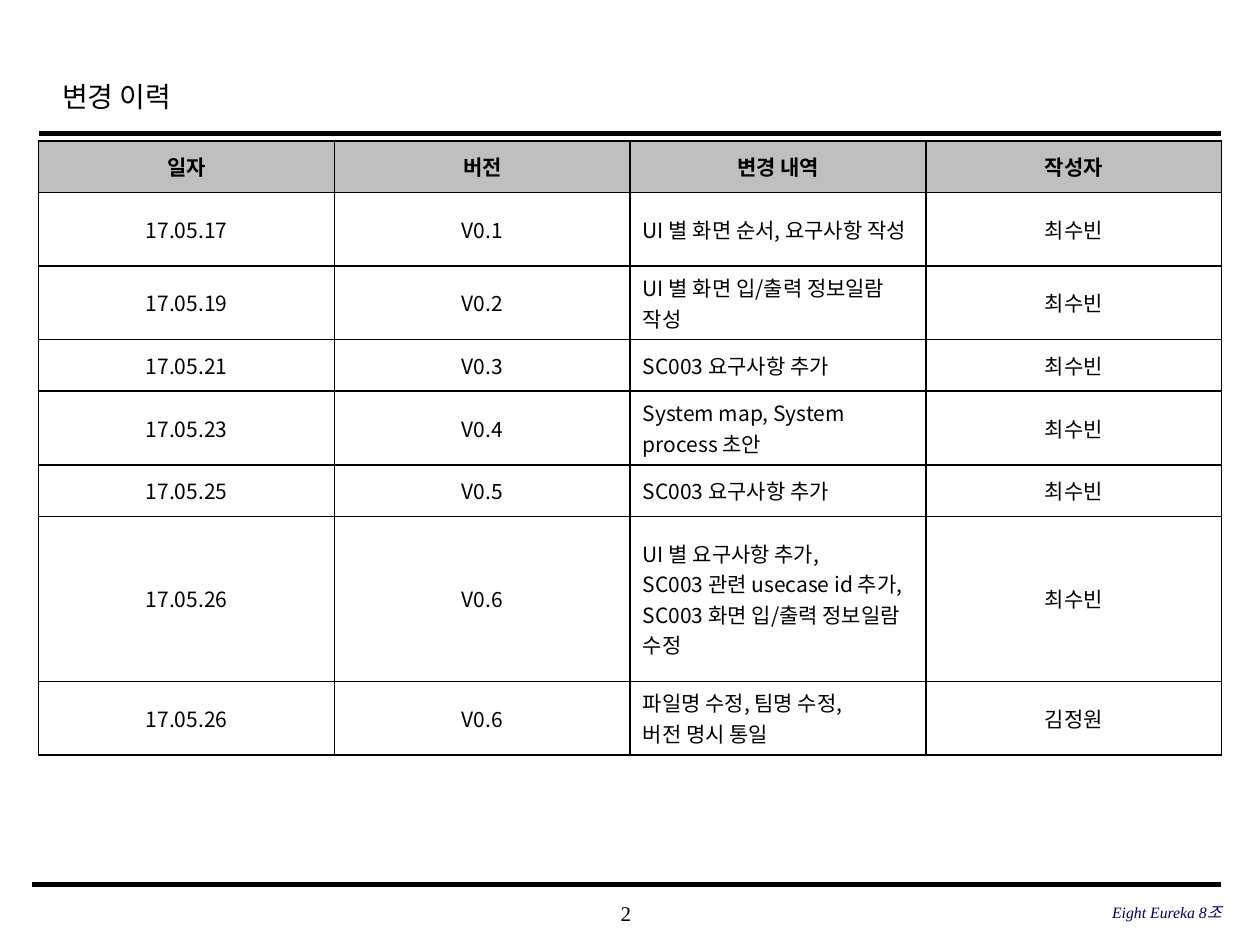
from dataclasses import dataclass

from lxml.etree import SubElement
from pptx import Presentation
from pptx.dml.color import RGBColor
from pptx.enum.shapes import MSO_CONNECTOR
from pptx.enum.text import MSO_ANCHOR, PP_ALIGN
from pptx.oxml.ns import qn
from pptx.util import Cm, Pt


@dataclass(frozen=True)
class Theme:
    serif: str = "Times New Roman"
    korean: str = "Noto Sans CJK KR"
    black: str = "000000"
    navy: str = "000066"
    header: str = "BFBFBF"
    white: str = "FFFFFF"
    title_size: int = 16
    body_size: int = 12
    footer_size: int = 9


THEME = Theme()
TITLE = "변경 이력"
PAGE_NUMBER = "2"
TEAM = "Eight Eureka 8조"
HEADERS = ("일자", "버전", "변경 내역", "작성자")
CHANGES = [
    ("17.05.17", "V0.1", "UI 별 화면 순서, 요구사항 작성", "최수빈"),
    ("17.05.19", "V0.2", "UI 별 화면 입/출력 정보일람 작성", "최수빈"),
    ("17.05.21", "V0.3", "SC003 요구사항 추가", "최수빈"),
    ("17.05.23", "V0.4", "System map, System process 초안", "최수빈"),
    ("17.05.25", "V0.5", "SC003 요구사항 추가", "최수빈"),
    ("17.05.26", "V0.6",
     "UI 별 요구사항 추가,\nSC003 관련 usecase id 추가,\nSC003 화면 입/출력 정보일람 수정",
     "최수빈"),
    ("17.05.26", "V0.6", "파일명 수정, 팀명 수정,\n버전 명시 통일", "김정원"),
]
DESCRIPTION_COLUMN = 2
LEFT, RIGHT = 0.78, 24.62
TABLE_TOP, TABLE_WIDTH, ROW_HEIGHT = 2.84, 23.85, 1.04


def write(text_frame, text, *, size, font=THEME.serif, color=THEME.black,
          bold=False, italic=False, align=PP_ALIGN.LEFT, line_spacing=None):
    """Fill a text frame, one paragraph per line of text."""
    text_frame.word_wrap = True
    text_frame.text = text
    for paragraph in text_frame.paragraphs:
        paragraph.alignment = align
        if line_spacing:
            paragraph.line_spacing = line_spacing
        for run in paragraph.runs:
            run.font.size = Pt(size)
            run.font.bold = bold
            run.font.italic = italic
            run.font.color.rgb = RGBColor.from_string(color)
            run.font.name = font
            SubElement(run.font._element, qn("a:ea"), typeface=THEME.korean)


def add_rule(slide, left, top, width):
    line = slide.shapes.add_connector(
        MSO_CONNECTOR.STRAIGHT, Cm(left), Cm(top), Cm(RIGHT), Cm(top))
    line.line.color.rgb = RGBColor.from_string(THEME.black)
    line.line.width = Pt(width)
    SubElement(line._element.spPr, qn("a:effectLst"))


def add_footer(slide, text, left, top, width, **text_format):
    text_frame = slide.shapes.add_textbox(
        Cm(left), Cm(top), Cm(width), Cm(0.84)).text_frame
    text_frame.margin_left = text_frame.margin_right = 0
    text_frame.margin_top = text_frame.margin_bottom = 0
    text_frame.vertical_anchor = MSO_ANCHOR.MIDDLE
    write(text_frame, text, **text_format)


def add_borders(cell):
    properties = cell._tc.get_or_add_tcPr()
    for side in ("lnL", "lnR", "lnT", "lnB"):
        border = SubElement(properties, qn(f"a:{side}"), w=str(Pt(1)))
        fill = SubElement(border, qn("a:solidFill"))
        SubElement(fill, qn("a:srgbClr"), val=THEME.black)


def add_history_table(slide):
    rows = [HEADERS, *CHANGES]
    table = slide.shapes.add_table(
        len(rows), len(HEADERS), Cm(LEFT), Cm(TABLE_TOP),
        Cm(TABLE_WIDTH), Cm(ROW_HEIGHT * len(rows))).table
    table.horz_banding = False
    for row_index, row in enumerate(rows):
        is_header = row_index == 0
        for column_index, text in enumerate(row):
            is_description = column_index == DESCRIPTION_COLUMN and not is_header
            cell = table.cell(row_index, column_index)
            add_borders(cell)
            cell.fill.solid()
            cell.fill.fore_color.rgb = RGBColor.from_string(
                THEME.header if is_header else THEME.white)
            cell.vertical_anchor = MSO_ANCHOR.MIDDLE
            write(cell.text_frame, text, size=THEME.body_size,
                  font=THEME.korean, bold=is_header,
                  align=PP_ALIGN.LEFT if is_description else PP_ALIGN.CENTER)


def main():
    presentation = Presentation()
    presentation.slide_width, presentation.slide_height = Cm(25.4), Cm(19.05)
    slide = presentation.slides.add_slide(presentation.slide_layouts[5])

    title = slide.shapes.title
    title.left, title.top = Cm(1), Cm(1.24)
    title.width, title.height = Cm(19.18), Cm(1.27)
    title.text_frame.vertical_anchor = MSO_ANCHOR.MIDDLE
    write(title.text_frame, TITLE, size=THEME.title_size, line_spacing=1.2)

    add_rule(slide, LEFT, 2.69, 2.5)
    add_rule(slide, 0.64, 17.83, 3)
    add_history_table(slide)
    add_footer(slide, PAGE_NUMBER, 9.98, 17.98, 5.28,
               size=THEME.body_size, align=PP_ALIGN.CENTER)
    add_footer(slide, TEAM, 16.84, 17.96, 7.78, size=THEME.footer_size,
               color=THEME.navy, italic=True, align=PP_ALIGN.RIGHT)
    presentation.save("out.pptx")


if __name__ == "__main__":
    main()
